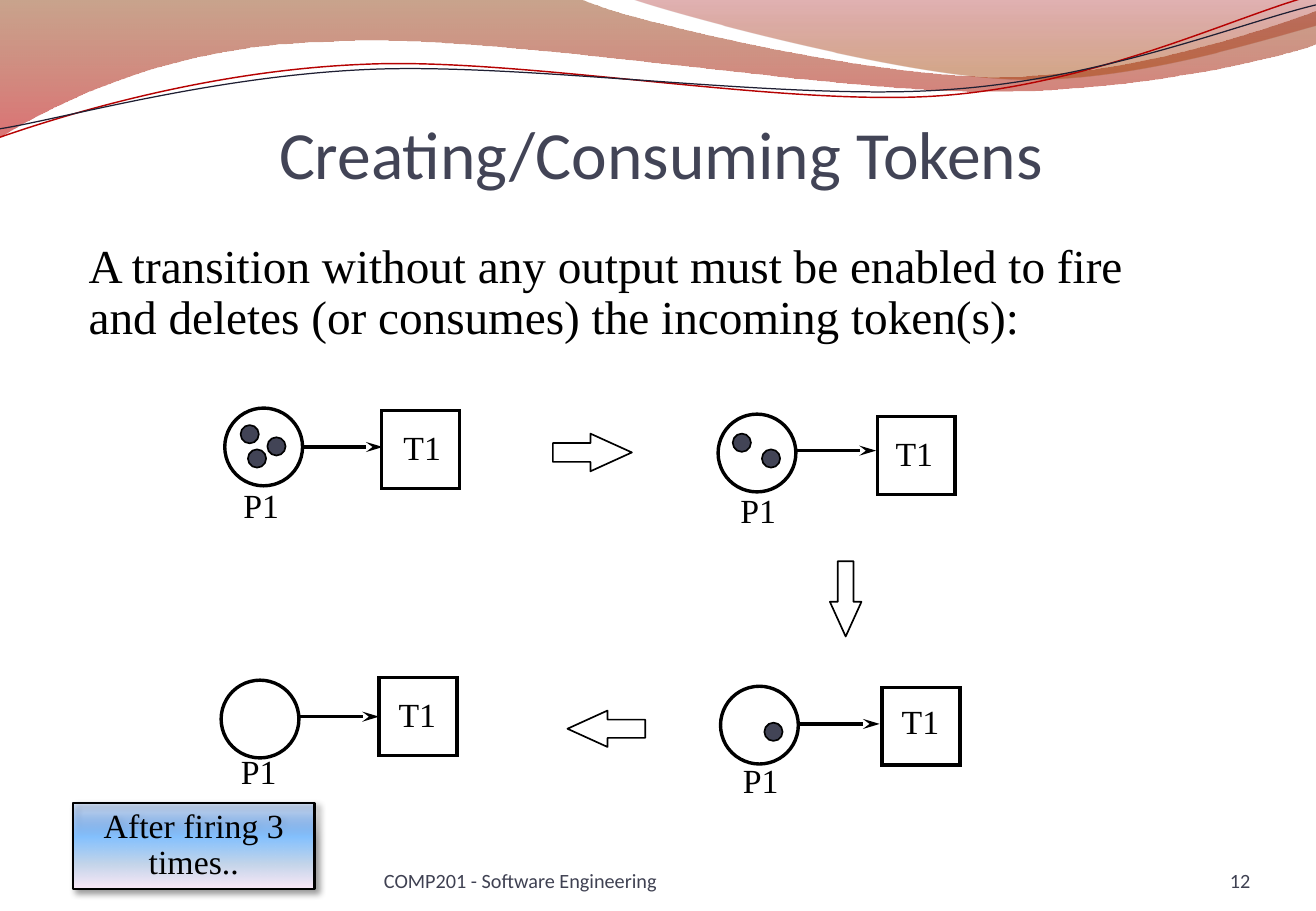
from lxml.etree import SubElement
from pptx import Presentation
from pptx.dml.color import RGBColor
from pptx.enum.shapes import MSO_CONNECTOR, MSO_SHAPE
from pptx.enum.text import MSO_ANCHOR, MSO_AUTO_SIZE, PP_ALIGN
from pptx.oxml.ns import qn
from pptx.util import Inches, Pt

SERIF, SANS = "Times New Roman", "Calibri"
BLACK, SLATE, FOOTER = "000000", "424456", "3F4152"
NODE, TOKEN = 0.64, 0.15


def colour(value):
    return RGBColor.from_string(value)


def set_text(shape, text, size=20, font=SERIF, color=BLACK, align=PP_ALIGN.CENTER,
             anchor=MSO_ANCHOR.TOP, spacing=0.9, wrap=True, insets=(0.1, 0.05, 0.1, 0.05)):
    frame = shape.text_frame
    frame.auto_size = MSO_AUTO_SIZE.NONE
    frame.word_wrap = wrap
    frame.vertical_anchor = anchor
    (frame.margin_left, frame.margin_top,
     frame.margin_right, frame.margin_bottom) = map(Inches, insets)
    para = frame.paragraphs[0]
    para.alignment, para.line_spacing, para.space_before = align, spacing, Pt(0)
    span = para.add_run()
    span.text = text
    span.font.size, span.font.name = Pt(size), font
    span.font.color.rgb = colour(color)
    return para


class SlideBuilder:
    def __init__(self, deck):
        self.page = deck.slides.add_slide(deck.slide_layouts[1])
        self.shapes = self.page.shapes

    def placeholder(self, index, at, text, **style):
        box = self.page.placeholders[index]
        box.left, box.top, box.width, box.height = map(Inches, at)
        return set_text(box, text, **style)

    def text(self, at, text, **style):
        return set_text(self.shapes.add_textbox(*map(Inches, at)), text, **style)

    def paint(self, shape, fill=None, line=BLACK, width=1):
        shape.shadow.inherit = False
        if isinstance(fill, list):
            self.gradient(shape, fill)
        elif fill:
            shape.fill.solid()
            shape.fill.fore_color.rgb = colour(fill)
        else:
            shape.fill.background()
        if line:
            shape.line.color.rgb = colour(line)
            shape.line.width = Pt(width)
        else:
            shape.line.fill.background()
        return shape

    def gradient(self, shape, stops):
        shape.fill.gradient()
        shape.fill.gradient_angle = 270
        stop_list = shape._element.spPr.find(qn("a:gradFill")).find(qn("a:gsLst"))
        for old_stop in list(stop_list):
            stop_list.remove(old_stop)
        for position, value, opacity in stops:
            stop = SubElement(stop_list, qn("a:gs"), pos=str(position * 1000))
            tint = SubElement(stop, qn("a:srgbClr"), val=value)
            SubElement(tint, qn("a:alpha"), val=str(opacity * 1000))

    def shape(self, kind, at, **style):
        return self.paint(self.shapes.add_shape(kind, *map(Inches, at)), **style)

    def block_arrow(self, kind, at):
        arrow = self.shape(kind, at)
        arrow.adjustments[0], arrow.adjustments[1] = 0.5, 1.1

    def outline(self, start, segments, closed=True, **style):
        """Segments hold one point for a line, or three for a cubic curve."""
        points = [(Inches(x), Inches(y)) for segment in segments for x, y in segment]
        builder = self.shapes.build_freeform(*map(Inches, start))
        builder.add_line_segments(points, close=closed)
        shape = builder.convert_to_shape()
        sides = iter(list(shape._element.iter(qn("a:lnTo"))))
        for segment in segments:
            group = [next(sides) for _ in segment]
            if len(group) == 3:
                outline = group[0].getparent()
                curve = SubElement(outline, qn("a:cubicBezTo"))
                group[0].addprevious(curve)
                for side in group:
                    curve.append(side[0])
                    outline.remove(side)
        return self.paint(shape, **style)

    def arrow(self, start_x, end_x, y, target):
        line = self.shapes.add_connector(MSO_CONNECTOR.STRAIGHT, Inches(start_x),
                                         Inches(y), Inches(end_x), Inches(y))
        middle = target.top + target.height / 2
        if abs(Inches(y) - middle) < Inches(0.015):
            line.begin_y = int(middle)
            line.end_connect(target, 1)
        line.line.color.rgb = colour(BLACK)
        line.line.width = Pt(2)
        SubElement(line.line._get_or_add_ln(), qn("a:tailEnd"),
                   type="stealth", w="med", len="lg")
        SubElement(line._element.spPr, qn("a:effectLst"))

    def drop_shadow(self, shape):
        effects = shape._element.spPr.find(qn("a:effectLst"))
        shadow = SubElement(effects, qn("a:outerShdw"), blurRad=str(Pt(4)), dist=str(Pt(3)),
                            dir="2700000", algn="tl", rotWithShape="0")
        tint = SubElement(shadow, qn("a:srgbClr"), val=BLACK)
        SubElement(tint, qn("a:alpha"), val="40000")

    def net(self, place, transition, arrow, place_label, transition_label, tokens):
        """A place P1 with its tokens, and an arrow to the transition T1."""
        box = self.shape(MSO_SHAPE.RECTANGLE, (*transition, NODE, NODE), width=2)
        SubElement(box.line._get_or_add_ln(), qn("a:miter"), lim="800000")
        self.arrow(*arrow, box)
        self.shape(MSO_SHAPE.OVAL, (*place, NODE, NODE), width=2)
        for token in tokens:
            self.shape(MSO_SHAPE.OVAL, (*token, TOKEN, TOKEN), fill=SLATE)
        for label, corner, width in (("P1", place_label, 0.5), ("T1", transition_label, 0.51)):
            self.text((*corner, width, 0.4), label, wrap=False)


def main():
    deck = Presentation()
    deck.slide_width, deck.slide_height = Inches(10.83), Inches(7.5)
    slide = SlideBuilder(deck)

    # Waves along the top
    slide.outline((0, 0), [
        [(4.77, -0.01)],
        [(5.15, 0.17), (7.19, 0.63), (8.22, 0.63)],
        [(9.24, 0.63), (10.38, 0.26), (10.83, 0.09)],
        [(10.84, 0.36)],
        [(10.65, 0.44), (9.42, 0.76), (8.08, 0.75)],
        [(6.74, 0.75), (4.14, 0.28), (2.79, 0.34)],
        [(1.4, 0.36), (0.5, 0.83), (-0.01, 1.13)],
    ], fill=[(0, "883400", 45), (100, "BD0000", 55)], line=None)
    slide.outline((5.19, -0.01), [
        [(5.52, 0.11), (7.39, 0.62), (8.33, 0.65)],
        [(9.27, 0.69), (10.42, 0.32), (10.83, 0.21)],
        [(10.83, 0)],
    ], fill=[(0, "9A0000", 30), (80, "A23E00", 45)], line=None)
    slide.outline((0, 1.13), [
        [(0.52, 0.95), (1.71, 0.58), (3, 0.53)],
        [(4.28, 0.47), (6.42, 0.88), (7.72, 0.79)],
        [(9.02, 0.7), (10.17, 0.13), (10.81, -0.04)],
    ], closed=False, line="B60202", width=0.85)
    slide.outline((0, 1.06), [
        [(0.51, 0.98), (1.77, 0.62), (3.07, 0.57)],
        [(4.36, 0.52), (6.47, 0.83), (7.76, 0.74)],
        [(9.06, 0.66), (10.2, 0.19), (10.83, 0.04)],
    ], closed=False, line="1F1F33", width=0.75)

    # Title and statement
    slide.placeholder(0, (0.86, 0.5, 9.16, 1.09), "Creating/Consuming Tokens", size=40,
                      font=SANS, color=SLATE, anchor=MSO_ANCHOR.BOTTOM, spacing=1,
                      insets=(0, 0.05, 0, 0))
    statement = slide.placeholder(
        1, (0.63, 1.95, 9.31, 0.95),
        "A transition without any output must be enabled to fire and deletes "
        "(or consumes) the incoming token(s):", size=28, align=PP_ALIGN.LEFT)
    properties = statement._p.get_or_add_pPr()
    properties.set("marL", "0")
    properties.set("indent", "0")
    SubElement(properties, qn("a:buNone"))

    # Four states of the net, in firing order
    slide.net((1.85, 3.36), (3.14, 3.38), (2.49, 3.15, 3.68), (1.9, 3.98), (3.22, 3.5),
              [(2.04, 3.7), (1.98, 3.5), (2.2, 3.6)])
    slide.net((5.91, 3.41), (7.22, 3.43), (6.55, 7.21, 3.71), (5.99, 4.02), (7.27, 3.55),
              [(6.03, 3.57), (6.27, 3.7)])
    slide.net((5.93, 5.65), (7.26, 5.66), (6.57, 7.24, 5.96), (6.01, 6.24), (7.32, 5.76),
              [(6.29, 5.95)])
    slide.net((1.82, 5.6), (3.12, 5.58), (2.46, 3.13, 5.91), (1.88, 6.17), (3.18, 5.7), [])

    # Steps between the states
    slide.block_arrow(MSO_SHAPE.RIGHT_ARROW, (4.55, 3.57, 0.65, 0.31))
    slide.block_arrow(MSO_SHAPE.DOWN_ARROW, (6.83, 4.62, 0.26, 0.62))
    slide.block_arrow(MSO_SHAPE.LEFT_ARROW, (4.67, 5.85, 0.64, 0.3))

    # Result caption
    caption = slide.shape(MSO_SHAPE.RECTANGLE, (0.6, 6.61, 1.99, 0.71), width=1.5,
                          fill=[(0, "5E9EFF", 17), (40, "85C2FF", 100),
                                (70, "C4D6EB", 100), (100, "FFEBFA", 100)])
    slide.drop_shadow(caption)
    set_text(caption, "After firing 3 times..")

    # Footer
    footer = dict(size=12, font=SANS, color=FOOTER, anchor=MSO_ANCHOR.BOTTOM,
                  spacing=1, insets=(0, 0, 0, 0))
    slide.text((3.16, 6.95, 3.97, 0.4), "COMP201 - Software Engineering",
               align=PP_ALIGN.LEFT, **footer)
    slide.text((9.39, 6.95, 0.9, 0.4), "12", align=PP_ALIGN.RIGHT, **footer)

    deck.save("out.pptx")


if __name__ == "__main__":
    main()
